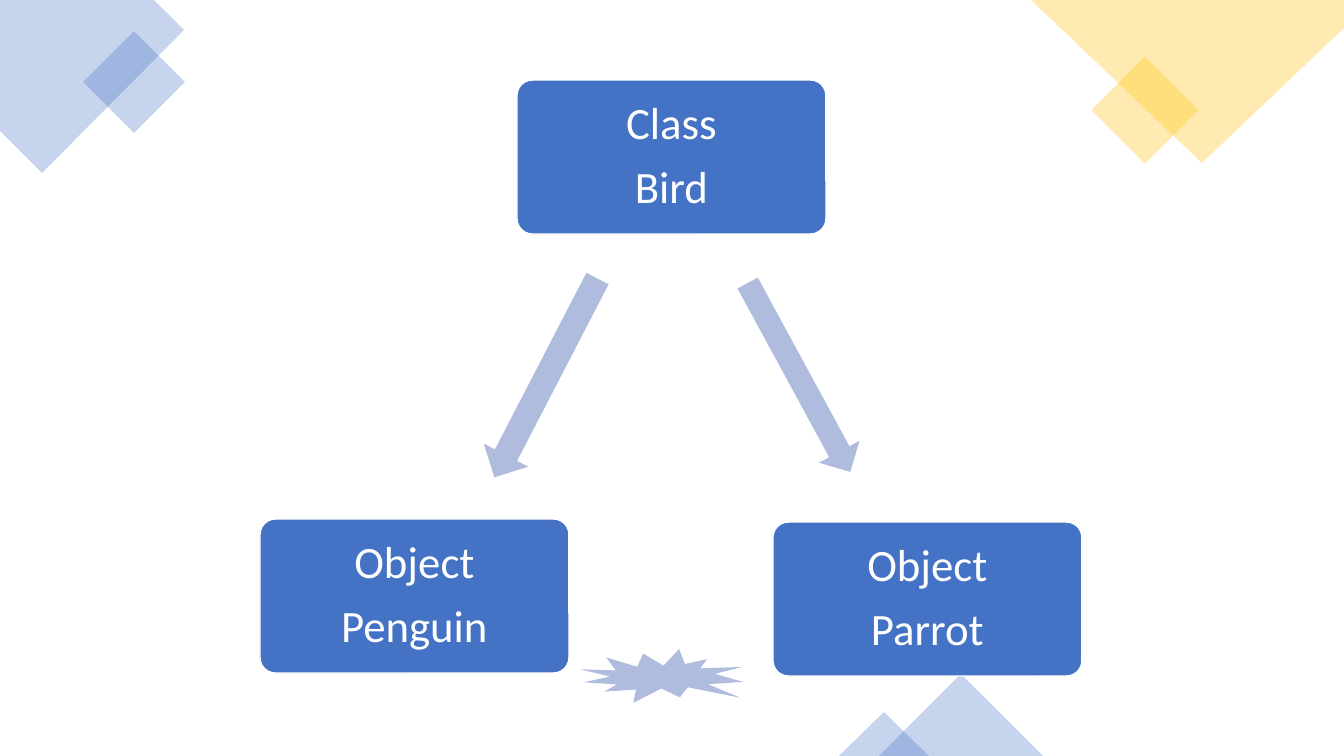
from lxml import etree
from pptx import Presentation
from pptx.dml.color import RGBColor
from pptx.enum.shapes import MSO_SHAPE
from pptx.enum.text import MSO_ANCHOR, PP_ALIGN
from pptx.oxml.ns import qn
from pptx.util import Emu, Pt

SLIDE_WIDTH, SLIDE_HEIGHT = 1344, 756
EMU_PER_PX = 12192000 / SLIDE_WIDTH

RECTANGLE = MSO_SHAPE.RECTANGLE
TRIANGLE = MSO_SHAPE.ISOSCELES_TRIANGLE
ROUNDED = MSO_SHAPE.ROUNDED_RECTANGLE
DOWN_ARROW = MSO_SHAPE.DOWN_ARROW
RIGHT_ARROW = MSO_SHAPE.RIGHT_ARROW
BURST = MSO_SHAPE.EXPLOSION1
MIDDLE = MSO_ANCHOR.MIDDLE
CENTER = PP_ALIGN.CENTER

BLUE = RGBColor(0x44, 0x72, 0xC4)
YELLOW = RGBColor(0xFF, 0xC0, 0x00)
PALE_BLUE = RGBColor(0xB0, 0xBC, 0xDE)
WHITE = RGBColor(0xFF, 0xFF, 0xFF)

DECOR_OPACITY = 30
BOX_SIZE = (309, 154)
BOX_MARGIN = 18

BLUE_CORNER = [(0, 0), (154, 0), (184, 30), (42, 173), (0, 131)]
YELLOW_CORNER = [(1031, 0), (1344, 0), (1344, 28), (1202, 163)]
DIAMONDS = [((98, 46, 72, 72), BLUE), ((1107, 72, 76, 76), YELLOW)]
TRIANGLES = [(879, 674, 164, 82), (839, 712, 90, 44)]
BOXES = [
    (517, 80, ["Class", "Bird"]),
    (773, 522, ["Object", "Parrot"]),
    (260, 519, ["Object", "Penguin"]),
]
LINKS = [
    (DOWN_ARROW, (776, 270, 46, 215), 331.5),
    (BURST, (580, 649, 163, 54), 180.3),
    (RIGHT_ARROW, (434, 353, 224, 50), 117.4),
]


def px(length):
    return Emu(round(length * EMU_PER_PX))


def set_all(target, values):
    for name, value in values.items():
        setattr(target, name, value)


def paint(shape, color, opacity=100):
    """Fill the shape, with no line and no shadow."""
    shape.shadow.inherit = False
    shape.line.fill.background()
    shape.fill.solid()
    shape.fill.fore_color.rgb = color
    if opacity < 100:
        color_element = shape.fill._xPr.find(".//" + qn("a:srgbClr"))
        alpha = etree.SubElement(color_element, qn("a:alpha"))
        alpha.set("val", str(opacity * 1000))


def add_preset(slide, kind, bounds, color, rotation=0, opacity=100):
    shape = slide.shapes.add_shape(kind, *map(px, bounds))
    shape.rotation = rotation
    paint(shape, color, opacity)
    return shape


def add_corner(slide, points, color):
    builder = slide.shapes.build_freeform(*points[0], scale=EMU_PER_PX)
    builder.add_line_segments(points[1:], close=True)
    paint(builder.convert_to_shape(), color, DECOR_OPACITY)


def add_box(slide, left, top, lines):
    box = add_preset(slide, ROUNDED, (left, top, *BOX_SIZE), BLUE)
    box.adjustments[0] = 0.1
    box.line.color.rgb = WHITE
    box.line.width = Pt(1)
    frame = box.text_frame
    set_all(frame, {"word_wrap": True, "vertical_anchor": MIDDLE})
    for side in ("left", "top", "right", "bottom"):
        setattr(frame, f"margin_{side}", px(BOX_MARGIN))
    for index, text in enumerate(lines):
        paragraph = frame.add_paragraph() if index else frame.paragraphs[0]
        set_all(paragraph, {"alignment": CENTER, "line_spacing": 0.9, "space_after": Pt(11)})
        run = paragraph.add_run()
        run.text = text
        set_all(run.font, {"name": "Calibri", "size": Pt(32)})
        run.font.color.rgb = WHITE


def main():
    presentation = Presentation()
    set_all(presentation, {"slide_width": px(SLIDE_WIDTH), "slide_height": px(SLIDE_HEIGHT)})
    slide = presentation.slides.add_slide(presentation.slide_layouts[6])

    add_corner(slide, BLUE_CORNER, BLUE)
    for bounds, color in DIAMONDS:
        add_preset(slide, RECTANGLE, bounds, color, 315, DECOR_OPACITY)
    add_corner(slide, YELLOW_CORNER, YELLOW)
    for bounds in TRIANGLES:
        add_preset(slide, TRIANGLE, bounds, BLUE, opacity=DECOR_OPACITY)

    for left, top, lines in BOXES:
        add_box(slide, left, top, lines)
    for kind, bounds, rotation in LINKS:
        add_preset(slide, kind, bounds, PALE_BLUE, rotation)

    presentation.save("out.pptx")


if __name__ == "__main__":
    main()
